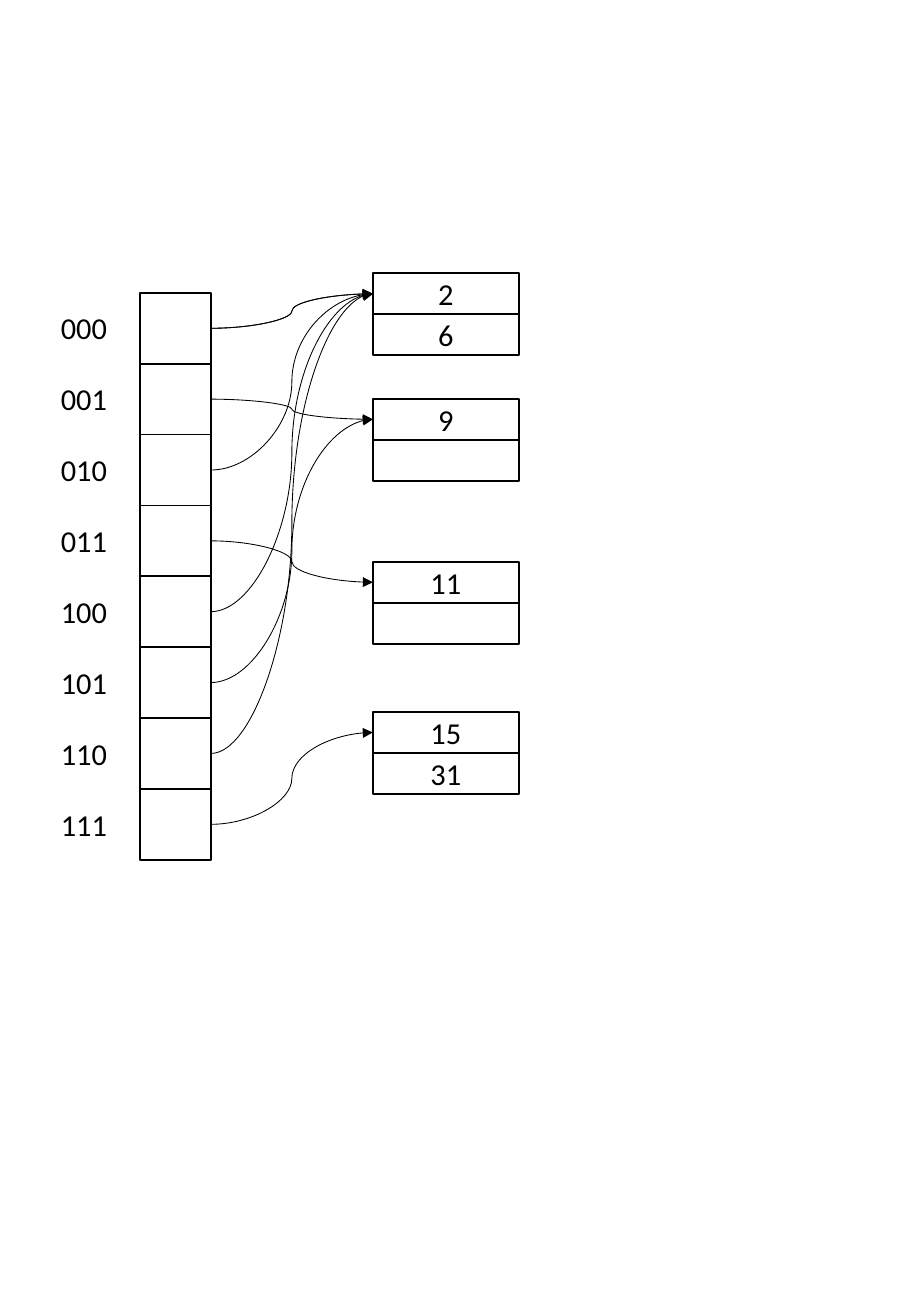
from lxml import etree
from pptx import Presentation
from pptx.dml.color import RGBColor
from pptx.enum.shapes import MSO_CONNECTOR as Link, MSO_SHAPE as Shape
from pptx.enum.text import MSO_ANCHOR as Anchor, MSO_AUTO_SIZE as Auto, PP_ALIGN as Align
from pptx.oxml.ns import qn
from pptx.util import Pt

BLACK = RGBColor(0, 0, 0)
KEYS = ["000", "001", "010", "011", "100", "101", "110", "111"]
BUCKETS = [(162, ["2", "6"]), (236.4, ["9", ""]),
           (333, ["11", ""]), (422, ["15", "31"])]
LINKS = [(0, 0), (4, 0), (2, 0), (6, 0), (0, 0), (1, 1), (5, 1), (3, 2), (7, 3)]


def write(frame, text):
    """Put one run of black text into the frame."""
    run = frame.paragraphs[0].add_run()
    run.text = text
    run.font.name = "Calibri"
    run.font.size = Pt(18)
    run.font.color.rgb = BLACK


def add_cell(shapes, left, top, width, height, text=""):
    """Draw an outlined cell with optional centred text."""
    cell = shapes.add_shape(Shape.RECTANGLE, Pt(left), Pt(top), Pt(width), Pt(height))
    cell.shadow.inherit = False
    cell.fill.background()
    cell.line.color.rgb = BLACK
    cell.line.width = Pt(1)
    if text:
        frame = cell.text_frame
        frame.vertical_anchor = Anchor.MIDDLE
        frame.paragraphs[0].alignment = Align.CENTER
        write(frame, text)
    return cell


def add_table(shapes, left, top, side):
    """Draw the directory column with its key labels and return the cells."""
    cells = []
    for row, key in enumerate(KEYS):
        y = top + row * side
        cells.append(add_cell(shapes, left, y, side, side))
        label = shapes.add_textbox(Pt(left - 54), Pt(y + 6.4), Pt(47.5), Pt(28.8))
        frame = label.text_frame
        frame.word_wrap = True
        frame.auto_size = Auto.SHAPE_TO_FIT_TEXT
        write(frame, key)
    return cells


def add_bucket(shapes, left, top, width, height, values):
    """Draw a bucket as a group of stacked slots and return the first slot."""
    group = shapes.add_group_shape()
    step = height / len(values)
    slots = [add_cell(group.shapes, left, top + row * step, width, step, value)
             for row, value in enumerate(values)]
    return slots[0]


def add_link(shapes, start, end):
    """Join a directory cell to a bucket with a curved arrow."""
    link = shapes.add_connector(Link.CURVE, 0, 0, 0, 0)
    link.begin_connect(start, 3)
    link.end_connect(end, 1)
    link.line.color.rgb = BLACK
    link.line.width = Pt(0.5)
    tail = etree.SubElement(link.line._get_or_add_ln(), qn("a:tailEnd"))
    tail.set("type", "triangle")
    etree.SubElement(link._element.spPr, qn("a:effectLst"))


def main():
    """Build the hash directory slide and save it."""
    deck = Presentation()
    deck.slide_width, deck.slide_height = Pt(540), Pt(780)
    shapes = deck.slides.add_slide(deck.slide_layouts[6]).shapes
    cells = add_table(shapes, 83, 173.6, 42)
    heads = [add_bucket(shapes, 221, top, 86.6, 48.6, values)
             for top, values in BUCKETS]
    for key, bucket in LINKS:
        add_link(shapes, cells[key], heads[bucket])
    deck.save("out.pptx")


if __name__ == "__main__":
    main()
